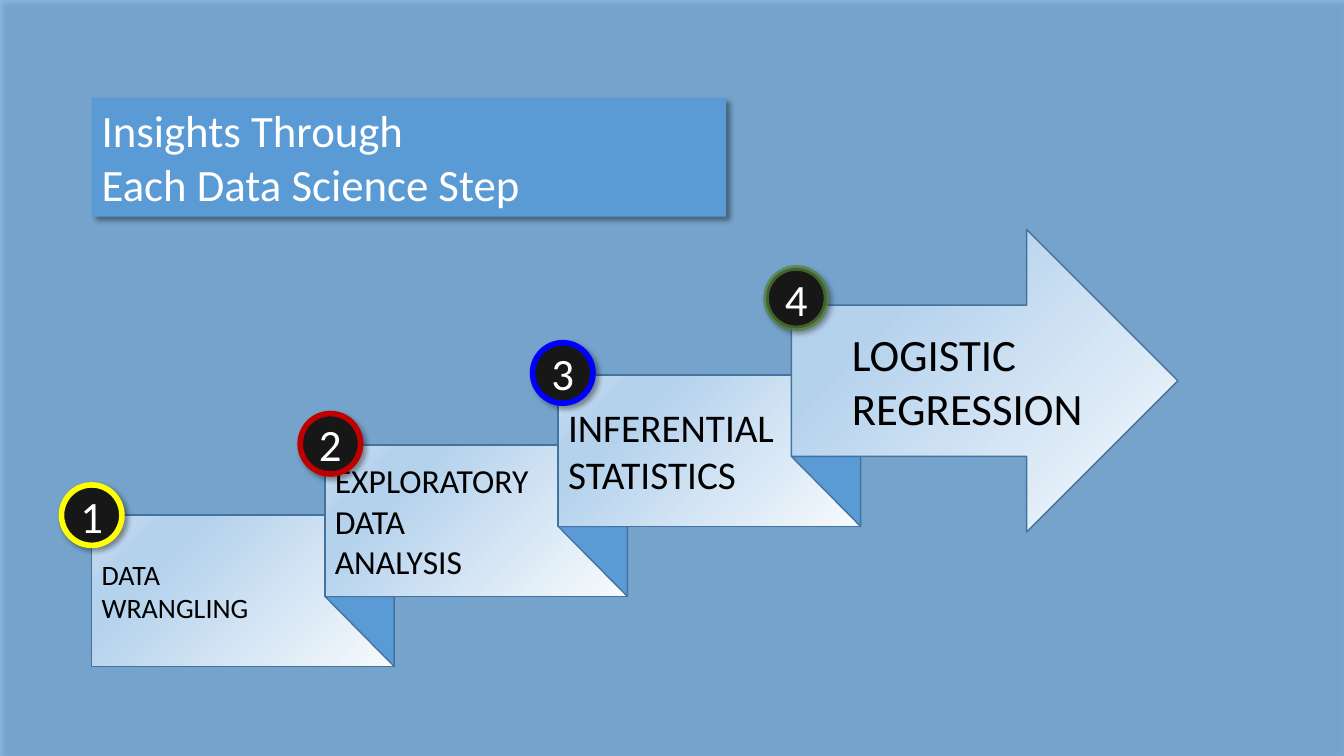
from dataclasses import dataclass

from pptx import Presentation
from pptx import util as u
from pptx.dml import color
from pptx.enum import shapes, text
from pptx.oxml import ns, parse_xml

BLUE, OUTLINE, BLACK, WHITE = "5B9BD5", "43739E", "000000", "FFFFFF"
GRADIENT = [(0, "F7FAFD"), (74, "B5D2EC"), (83, "B5D2EC"), (100, "CEE1F2")]

# Staircase geometry, in points
LEFT, TOP = 65.5, 368
STEP_X, STEP_Y = 166.6, 50
BAND_W, BAND_H = 216, 108
ARROW_W, ARROW_H = 276, 216
BADGE = 43.2


@dataclass
class Step:
    lines: list[str]
    size: float
    ring: str
    badge_center: tuple[float, float]
    ring_opacity: int = 100


STEPS = [
    Step(["DATA", "WRANGLING"], 20, "FFFF00", (65.5, 368)),
    Step(["EXPLORATORY", "DATA", "ANALYSIS"], 24, "C00000", (236, 317)),
    Step(["INFERENTIAL", "STATISTICS"], 28, "0000FF", (402, 266.4)),
    Step(["LOGISTIC REGRESSION"], 32, "548235", (568.8, 213), 70),
]


def rgb(code: str) -> color.RGBColor:
    return color.RGBColor.from_string(code)


def set_opacity(fill_owner, percent: int) -> None:
    """Set the opacity of the first solid colour inside an XML element."""
    code = next(fill_owner.iter(ns.qn("a:srgbClr")))
    code.append(parse_xml(f'<a:alpha {ns.nsdecls("a")} val="{percent * 1000}"/>'))


def add_shadow(shape) -> None:
    effects = shape._element.spPr.find(ns.qn("a:effectLst"))
    effects.append(parse_xml(
        f'<a:outerShdw {ns.nsdecls("a")} blurRad="{u.Pt(4)}" dist="{u.Pt(3)}" '
        'dir="2700000" algn="tl" rotWithShape="0">'
        f'<a:srgbClr val="{BLACK}"><a:alpha val="40000"/></a:srgbClr></a:outerShdw>'))


def set_gradient(shape) -> None:
    """Fill with a circular gradient that starts at the bottom right corner."""
    stops = "".join(f'<a:gs pos="{pos * 1000}"><a:srgbClr val="{code}"/></a:gs>'
                    for pos, code in GRADIENT)
    shape.fill.background()
    properties = shape._element.spPr
    properties.replace(properties.find(ns.qn("a:noFill")), parse_xml(
        f'<a:gradFill {ns.nsdecls("a")} rotWithShape="1"><a:gsLst>{stops}</a:gsLst>'
        '<a:path path="circle"><a:fillToRect l="100000" t="100000"/></a:path>'
        '</a:gradFill>'))


def add_part(kind, x: float, y: float, w: float, h: float, fill: str | None = None,
             line: str | None = None, line_width: float = 1, shadow: bool = False):
    """Add a preset shape; without a fill colour it takes the gradient."""
    part = slide.shapes.add_shape(kind, u.Pt(x), u.Pt(y), u.Pt(w), u.Pt(h))
    part.shadow.inherit = False
    if fill:
        part.fill.solid()
        part.fill.fore_color.rgb = rgb(fill)
    else:
        set_gradient(part)
    if line:
        part.line.color.rgb = rgb(line)
        part.line.width = u.Pt(line_width)
    else:
        part.line.fill.background()
    if shadow:
        add_shadow(part)
    return part


def write(part, lines: list[str], size: float, code: str,
          align=text.PP_ALIGN.LEFT, anchor=text.MSO_ANCHOR.MIDDLE) -> None:
    frame = part.text_frame
    frame.word_wrap = True
    frame.vertical_anchor = anchor
    for index, line in enumerate(lines):
        paragraph = frame.add_paragraph() if index else frame.paragraphs[0]
        paragraph.alignment = align
        run = paragraph.add_run()
        run.text = line
        run.font.name = "Calibri"
        run.font.size = u.Pt(size)
        run.font.color.rgb = rgb(code)


prs = Presentation()
prs.slide_width, prs.slide_height = u.Pt(960), u.Pt(540)
slide = prs.slides.add_slide(prs.slide_layouts[6])
kinds = shapes.MSO_SHAPE

# Backdrop
backdrop = add_part(kinds.RECTANGLE, 0, 0, 960, 540, BLUE, shadow=True)
set_opacity(backdrop._element.spPr.find(ns.qn("a:solidFill")), 70)

# Rising bands with their folds, ending in the arrow
for number, step in enumerate(STEPS):
    x, y = LEFT + number * STEP_X, TOP - number * STEP_Y
    if step is STEPS[-1]:
        arrow = add_part(kinds.RIGHT_ARROW, x, y - ARROW_H / 4, ARROW_W, ARROW_H,
                         line=OUTLINE)
        write(arrow, step.lines, step.size, BLACK)
        label = arrow.text_frame.paragraphs[0]
        label.level = 1
        label._p.get_or_add_pPr().set("marL", str(u.Pt(36)))
    else:
        band = add_part(kinds.RECTANGLE, x, y, BAND_W, BAND_H, line=OUTLINE)
        write(band, step.lines, step.size, BLACK)
        fold = add_part(kinds.RIGHT_TRIANGLE, x + STEP_X, y + BAND_H - STEP_Y,
                        BAND_W - STEP_X, STEP_Y, BLUE, OUTLINE)
        fold.rotation = 180

# Numbered badges
for number, step in enumerate(STEPS, 1):
    center_x, center_y = step.badge_center
    badge = add_part(kinds.OVAL, center_x - BADGE / 2, center_y - BADGE / 2,
                     BADGE, BADGE, "181717", step.ring, 4, shadow=True)
    if step.ring_opacity < 100:
        set_opacity(badge._element.spPr.find(ns.qn("a:ln")), step.ring_opacity)
    write(badge, [str(number)], 32, WHITE, text.PP_ALIGN.CENTER)

# Title
title = add_part(kinds.RECTANGLE, LEFT, 69.8, 453, 85, BLUE, shadow=True)
write(title, ["Insights Through", "Each Data Science Step"], 32, WHITE,
      anchor=text.MSO_ANCHOR.TOP)
title.text_frame.auto_size = text.MSO_AUTO_SIZE.SHAPE_TO_FIT_TEXT

prs.save("out.pptx")
